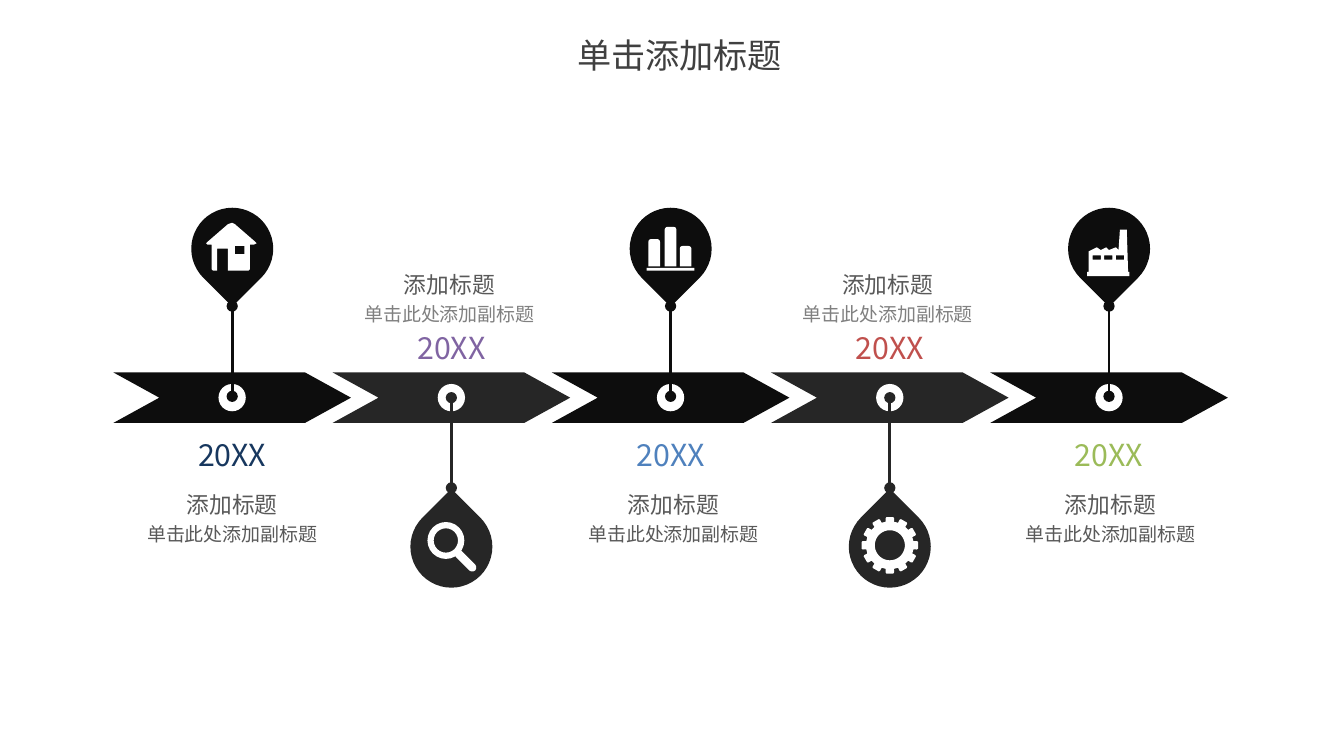
import math

from lxml import etree
from pptx import Presentation
from pptx.dml.color import RGBColor
from pptx.enum import shapes, text
from pptx.oxml.ns import qn
from pptx.util import Inches, Pt

FONT = "Noto Sans CJK SC"
WHITE = RGBColor(0xFF, 0xFF, 0xFF)
BLACK = RGBColor(0x0D, 0x0D, 0x0D)
CHARCOAL = RGBColor(0x26, 0x26, 0x26)
TITLE_GRAY = RGBColor(0x40, 0x40, 0x40)
TEXT_GRAY = RGBColor(0x59, 0x59, 0x59)
LIGHT_GRAY = RGBColor(0x80, 0x80, 0x80)
NAVY = RGBColor(0x17, 0x37, 0x5E)
PURPLE = RGBColor(0x80, 0x64, 0xA2)
BLUE = RGBColor(0x4F, 0x81, 0xBD)
RED = RGBColor(0xC0, 0x50, 0x4D)
GREEN = RGBColor(0x9B, 0xBB, 0x59)

SHAPE = shapes.MSO_SHAPE
FIRST_X, STEP_X = 1.7, 1.605
ARROW_Y = 2.91

HOUSE = [
    [(0.17, -0.05), (0.18, -0.04), (0.16, -0.03), (0.13, -0.03), (0.13, 0.15),
     (0.12, 0.16), (-0.03, 0.16), (-0.03, 0), (-0.11, 0), (-0.11, 0.16),
     (-0.14, 0.16), (-0.15, 0.15), (-0.15, -0.03), (-0.18, -0.03),
     (-0.19, -0.04), (-0.18, -0.05), (-0.03, -0.18), (0, -0.19), (0.02, -0.18)],
    [(0.02, -0.02), (0.09, -0.02), (0.09, 0.04), (0.02, 0.04)],
]
FACTORY = [
    [(0.14, 0.17), (0.13, -0.14), (0.08, -0.14), (0.07, 0.01), (0.05, -0.01),
     (0, 0.01), (-0.02, -0.01), (-0.06, 0.01), (-0.09, -0.01), (-0.15, 0.02),
     (-0.15, 0.17), (-0.16, 0.17), (-0.16, 0.2), (0.15, 0.2), (0.15, 0.17)],
] + [
    [(x, 0.05), (x + 0.06, 0.05), (x + 0.06, 0.08), (x, 0.08)]
    for x in (-0.12, -0.035, 0.05)
]


def paint(sp, color):
    sp.shadow.inherit = False
    sp.fill.solid()
    sp.fill.fore_color.rgb = color
    sp.line.fill.background()
    return sp


def add_block(s, kind, x, y, w, h, color, adj=(), rotation=0):
    sp = s.shapes.add_shape(kind, Inches(x - w / 2), Inches(y - h / 2),
                            Inches(w), Inches(h))
    for i, value in enumerate(adj):
        sp.adjustments[i] = value
    sp.rotation = rotation
    return paint(sp, color)


def add_outline(s, x, y, contours):
    placed = [[(Inches(x + dx), Inches(y + dy)) for dx, dy in c] for c in contours]
    builder = s.shapes.build_freeform(*placed[0][0])
    for i, points in enumerate(placed):
        if i:
            builder.move_to(*points[0])
        builder.add_line_segments(points[1:], close=True)
    paint(builder.convert_to_shape(), WHITE)


def format_text(sp, content, size, color, wrap=False):
    tf = sp.text_frame
    tf.text = content
    tf.word_wrap = wrap
    tf.margin_left = tf.margin_right = tf.margin_top = tf.margin_bottom = 0
    tf.vertical_anchor = text.MSO_ANCHOR.MIDDLE
    p = tf.paragraphs[0]
    p.alignment = text.PP_ALIGN.CENTER
    p.space_before = Pt(0)
    r = p.runs[0]
    r.font.size = Pt(size)
    r.font.color.rgb = color
    r.font.name = FONT
    etree.SubElement(r.font._element, qn("a:ea"), typeface=FONT)


def add_label(s, content, x, top, w, h, size, color, wrap=False):
    sp = s.shapes.add_textbox(Inches(x - w / 2), Inches(top), Inches(w), Inches(h))
    format_text(sp, content, size, color, wrap)


def add_stem(s, x, start, end, color):
    line = s.shapes.add_connector(shapes.MSO_CONNECTOR.STRAIGHT, Inches(x),
                                  Inches(start), Inches(x), Inches(end))
    line.line.color.rgb = color
    line.line.width = Pt(1.5)
    ln = line.line._get_or_add_ln()
    for tag in ("a:headEnd", "a:tailEnd"):
        etree.SubElement(ln, qn(tag), type="oval")
    etree.SubElement(line._element.spPr, qn("a:effectLst"))


def add_house(s, x, y):
    add_outline(s, x, y, HOUSE)


def add_magnifier(s, x, y):
    add_block(s, SHAPE.DONUT, x - 0.04, y - 0.045, 0.27, 0.27, WHITE, [0.17])
    add_block(s, SHAPE.ROUNDED_RECTANGLE, x + 0.1, y + 0.1, 0.21, 0.06, WHITE,
              [0.5], 45)


def add_bars(s, x, y):
    for dx, h in ((-0.12, 0.2), (0, 0.29), (0.11, 0.15)):
        add_block(s, SHAPE.ROUND_2_SAME_RECTANGLE, x + dx, y + 0.13 - h / 2,
                  0.085, h, WHITE, [0.23, 0])
    add_block(s, SHAPE.RECTANGLE, x, y + 0.15, 0.35, 0.02, WHITE)


def polar(radius, degrees):
    a = math.radians(degrees)
    return radius * math.cos(a), radius * math.sin(a)


def add_gear(s, x, y):
    tooth = ((0.175, -10), (0.2, -9), (0.208, -7), (0.208, 7), (0.2, 9), (0.175, 10))
    rim = [polar(r, base + a) for base in range(0, 360, 30) for r, a in tooth]
    hole = [polar(0.11, a) for a in range(0, 360, 6)]
    add_outline(s, x, y - 0.01, [rim, hole])


def add_factory(s, x, y):
    add_outline(s, x, y, FACTORY)


def add_step(s, x, caption_x, pin_up, year_color, add_icon):
    if pin_up:
        color, pin_y, stem, rotation = BLACK, 1.82, (2.24, 2.9), 135
        year_top, caption_top, subtitle_color = 3.19, 3.59, TEXT_GRAY
    else:
        color, pin_y, stem, rotation = CHARCOAL, 4, (3.57, 2.91), 315
        year_top, caption_top, subtitle_color = 2.41, 1.98, LIGHT_GRAY
    add_block(s, SHAPE.NOTCHED_RIGHT_ARROW, x, ARROW_Y, 1.74, 0.37, color, [1, 0.91])
    add_block(s, SHAPE.OVAL, x, ARROW_Y, 0.2, 0.2, WHITE)
    add_stem(s, x, *stem, color)
    add_block(s, SHAPE.TEAR, x, pin_y, 0.6, 0.6, color, rotation=rotation)
    add_icon(s, x, pin_y)
    add_label(s, "20XX", x, year_top, 0.52, 0.27, 16, year_color)
    add_label(s, "添加标题", caption_x, caption_top, 0.67, 0.2, 12, TEXT_GRAY)
    add_label(s, "单击此处添加副标题", caption_x, caption_top + 0.23, 1.51, 0.17, 10,
              subtitle_color, True)


def add_title(s, content):
    sp = s.shapes.title
    sp.left, sp.top = Inches(4.22), Inches(0.25)
    sp.width, sp.height = Inches(1.51), Inches(0.3)
    format_text(sp, content, 18, TITLE_GRAY)


def main():
    prs = Presentation()
    prs.slide_width, prs.slide_height = Inches(9.84), Inches(5.51)
    s = prs.slides.add_slide(prs.slide_layouts[5])
    s.background.fill.solid()
    s.background.fill.fore_color.rgb = WHITE
    add_title(s, "单击添加标题")
    steps = [
        (1.7, NAVY, add_house),
        (3.29, PURPLE, add_magnifier),
        (4.93, BLUE, add_bars),
        (6.5, RED, add_gear),
        (8.13, GREEN, add_factory),
    ]
    for i, (caption_x, year_color, add_icon) in enumerate(steps):
        add_step(s, FIRST_X + i * STEP_X, caption_x, i % 2 == 0, year_color, add_icon)
    prs.save("out.pptx")


if __name__ == "__main__":
    main()
